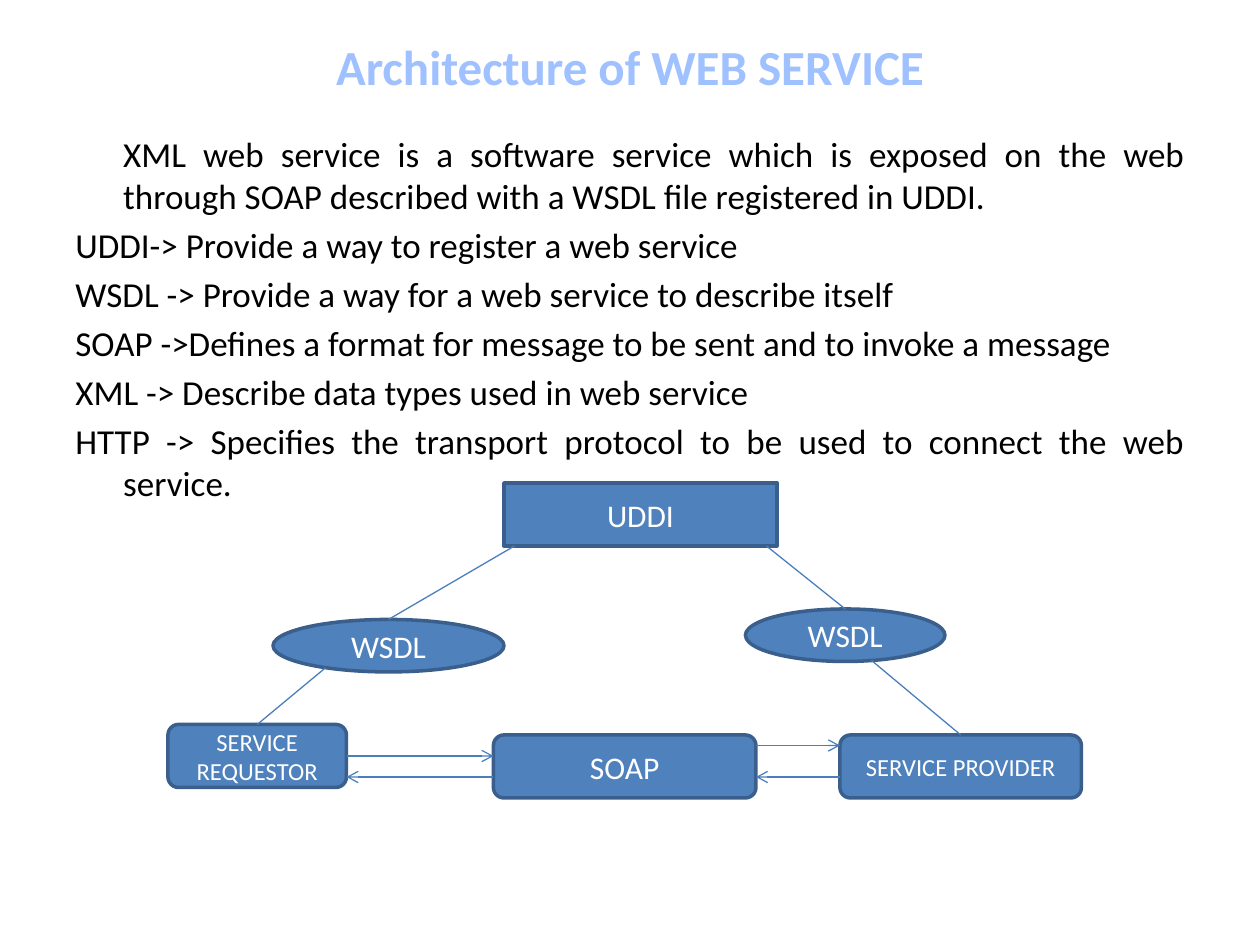
from pptx import Presentation, util as u
from pptx.dml.color import RGBColor
from pptx.enum import shapes, text
from pptx.oxml.ns import qn
from lxml import etree

UNIT = u.Inches(1) / 12  # grid step: twelve columns or rows to the inch
TITLE_BOX = (6, 3.6, 108, 5.4)
BODY_BOX = (6, 12, 108, 66.36)
DIAGRAM_BOX = (16, 46, 87, 30)

TITLE = "Architecture of WEB SERVICE"
SUMMARY = ("XML web service is a software service which is exposed on the web "
           "through SOAP described with a WSDL file registered in UDDI.")
TERMS = [
    "UDDI-> Provide a way to register a web service",
    "WSDL -> Provide a way for a web service to describe itself",
    "SOAP ->Defines a format for message to be sent and to invoke a message",
    "XML -> Describe data types used in web service",
    "HTTP -> Specifies the transport protocol to be used to connect the web service.",
]

# name: (preset, label, text size, box in grid steps inside the diagram)
NODES = {
    "registry": ("RECTANGLE", "UDDI", 18, (32, 0, 26, 6)),
    "left file": ("OVAL", "WSDL", 18, (10, 13, 22, 5)),
    "right file": ("OVAL", "WSDL", 18, (55, 12, 19, 5)),
    "requestor": ("ROUNDED_RECTANGLE", "SERVICE REQUESTOR", 14, (0, 23, 17, 6)),
    "messages": ("ROUNDED_RECTANGLE", "SOAP", 18, (31, 24, 25, 6)),
    "provider": ("ROUNDED_RECTANGLE", "SERVICE PROVIDER", 14, (64, 24, 23, 6)),
}
# (start, end, has arrowhead, joined start, joined end); every end lies on an outline
LINKS = [
    ((56, 25), (64, 25), True, None, None),
    ((64, 28), (56, 28), True, None, None),
    ((17, 26), (31, 26), True, ("requestor", 3), None),
    ((31, 28), (17, 28), True, None, None),
    ((8.5, 23), (15, 17.6), False, ("requestor", 0), None),
    ((21, 13), (33, 6), False, ("left file", 0), None),
    ((57, 6), (64.5, 12), False, None, ("right file", 0)),
    ((67, 16.9), (75.5, 24), False, None, ("provider", 0)),
]


def steps(*values):
    return [u.Emu(round(value * UNIT)) for value in values]


def colour(hex_value):
    return RGBColor.from_string(hex_value)


def apply(target, formats):
    for name, value in formats.items():
        setattr(target, name, value)


def write(para, words, size, hex_value, bold=False):
    span = para.add_run()
    span.text = words
    apply(span.font, {"name": "Calibri", "size": u.Pt(size), "bold": bold})
    span.font.color.rgb = colour(hex_value)


def add_title(page, box):
    title = page.shapes.title
    apply(title, dict(zip(("left", "top", "width", "height"), steps(*box))))
    apply(title.text_frame, {"vertical_anchor": text.MSO_ANCHOR.MIDDLE, "word_wrap": True})
    para = title.text_frame.paragraphs[0]
    para.alignment = text.PP_ALIGN.CENTER
    write(para, TITLE, 28, "A0C1FF", bold=True)


def add_body(page, box):
    """Justified summary, then the terms with a hanging indent."""
    frame = page.shapes.add_textbox(*steps(*box)).text_frame
    frame.word_wrap = True
    hanging = u.Inches(0.38)
    for index, words in enumerate([SUMMARY, *TERMS]):
        para = frame.add_paragraph() if index else frame.paragraphs[0]
        apply(para, {"alignment": text.PP_ALIGN.JUSTIFY, "space_before": u.Pt(4)})
        properties = para._p.get_or_add_pPr()
        properties.set("marL", str(hanging))
        properties.set("indent", str(-hanging if index else 0))
        write(para, words, 20, "000000")


def add_node(page, origin, preset, label, size, box):
    left, top, width, height = box
    place = steps(origin[0] + left, origin[1] + top, width, height)
    node = page.shapes.add_shape(getattr(shapes.MSO_SHAPE, preset), *place)
    node.shadow.inherit = False
    node.fill.solid()
    node.fill.fore_color.rgb = colour("4F81BD")
    node.line.color.rgb = colour("3A5F8C")
    node.line.width = u.Pt(2)
    apply(node.text_frame, {"word_wrap": True, "margin_top": 0, "margin_bottom": 0,
                            "vertical_anchor": text.MSO_ANCHOR.MIDDLE})
    para = node.text_frame.paragraphs[0]
    para.alignment = text.PP_ALIGN.CENTER
    write(para, label, size, "FFFFFF")
    return node


def add_link(page, origin, start, end, arrow):
    ends = [origin[axis] + point[axis] for point in (start, end) for axis in (0, 1)]
    link = page.shapes.add_connector(shapes.MSO_CONNECTOR.STRAIGHT, *steps(*ends))
    link.line.color.rgb = colour("4B7EBC")
    link.line.width = u.Pt(0.75)
    if arrow:
        etree.SubElement(link.line._get_or_add_ln(), qn("a:tailEnd"), type="arrow")
    etree.SubElement(link._element.spPr, qn("a:effectLst"))
    return link


def add_diagram(page, box):
    origin = box[:2]
    nodes = {name: add_node(page, origin, *node) for name, node in NODES.items()}
    for start, end, arrow, joined_start, joined_end in LINKS:
        link = add_link(page, origin, start, end, arrow)
        if joined_start:
            link.begin_connect(nodes[joined_start[0]], joined_start[1])
        if joined_end:
            link.end_connect(nodes[joined_end[0]], joined_end[1])


def main():
    deck = Presentation()
    apply(deck, {"slide_width": u.Inches(10), "slide_height": u.Inches(7.5)})
    page = deck.slides.add_slide(deck.slide_layouts.get_by_name("Title Only"))
    add_title(page, TITLE_BOX)
    add_body(page, BODY_BOX)
    add_diagram(page, DIAGRAM_BOX)
    deck.save("out.pptx")


if __name__ == "__main__":
    main()
